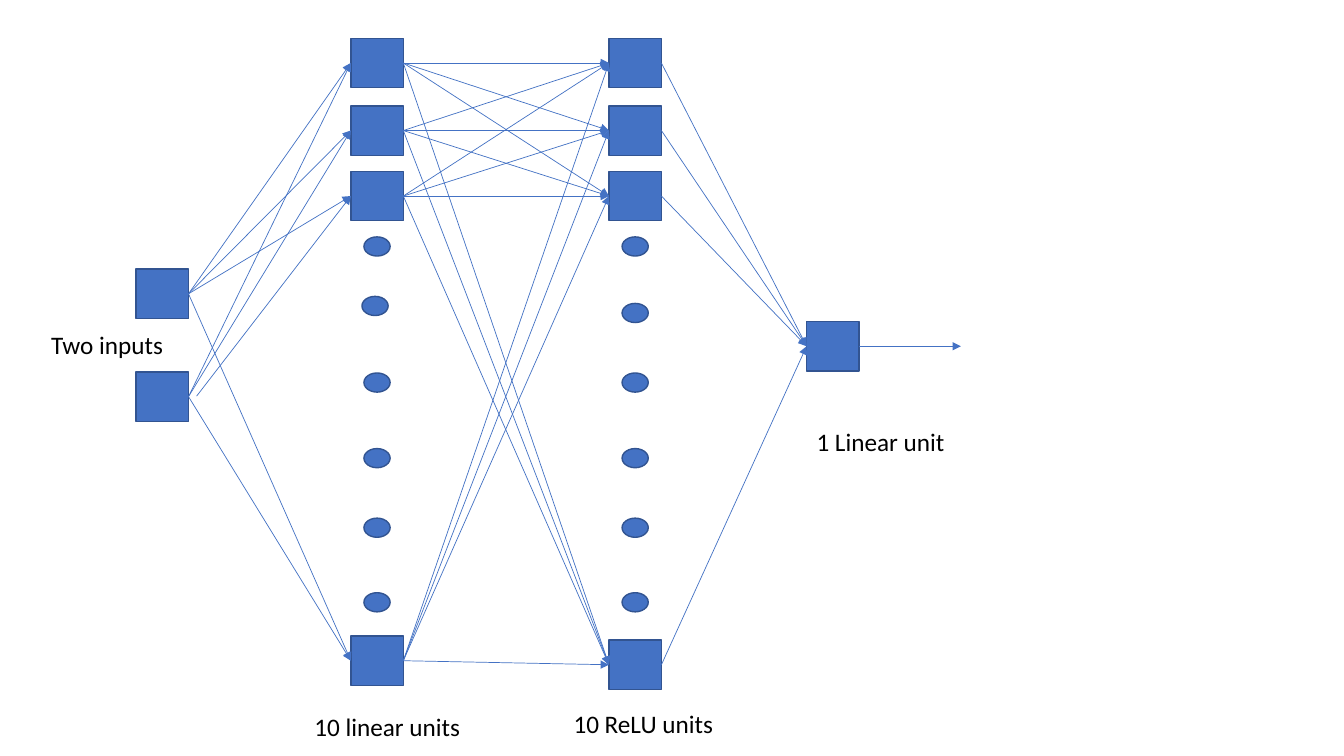
from itertools import product
from lxml import etree
from pptx import Presentation
from pptx.dml.color import RGBColor
from pptx.enum.shapes import MSO_CONNECTOR as Line, MSO_SHAPE as Kind
from pptx.enum.text import MSO_AUTO_SIZE as Fit
from pptx.oxml.ns import qn
from pptx.util import Inches, Pt

BLUE, EDGE, BLACK = "4472C4", "325491", "000000"
WIDE, HIGH = 0.52, 0.49
LEFT, RIGHT = 1, 3


def paint(color, tone):
    color.rgb = RGBColor.from_string(tone)


def arrow(x1, y1, x2, y2):
    line = shapes.add_connector(Line.STRAIGHT, x1, y1, x2, y2)
    paint(line.line.color, BLUE)
    line.line.width = Pt(0.5)
    etree.SubElement(line.line._get_or_add_ln(), qn("a:tailEnd"), type="triangle")
    etree.SubElement(line._element.spPr, qn("a:effectLst"))
    return line


deck = Presentation()
deck.slide_width, deck.slide_height = Inches(13.33), Inches(7.5)
slide = deck.slides.add_slide(deck.slide_layouts[6])
shapes = slide.shapes

tops = [0.38, 1.05, 1.7]
layers = [
    (1.35, [2.67, 3.69], []),
    (3.48, tops + [6.31], [2.35, 2.94, 3.7, 4.45, 5.14, 5.88]),
    (6.04, tops + [6.35], [2.35, 3.01, 3.7, 4.45, 5.14, 5.88]),
    (8, [3.19], []),
]
units = []
for x, rows, dots in layers:
    parts = [(Kind.RECTANGLE, x, y, WIDE, HIGH) for y in rows]
    parts += [(Kind.OVAL, x + (0.11 if y == 2.94 else 0.13), y, 0.26, 0.19) for y in dots]
    drawn = []
    for kind, *place in parts:
        node = shapes.add_shape(kind, *map(Inches, place))
        node.shadow.inherit = False
        node.fill.solid()
        paint(node.fill.fore_color, BLUE)
        paint(node.line.color, EDGE)
        node.line.width = Pt(1)
        drawn.append(node)
    units.append(drawn[:len(rows)])

inputs, linear, relu, output = units
for start, end in zip(units, units[1:]):
    for a, b in product(start, end):
        if a is inputs[1] and b is linear[2]:
            line = arrow(Inches(1.95), Inches(3.93), b.left, b.top)
        else:
            line = arrow(a.left, a.top, b.left, b.top)
            line.begin_connect(a, RIGHT)
        line.end_connect(b, LEFT)

final = output[0]
mid = final.top + final.height // 2
arrow(final.left + final.width, mid, Inches(9.53), mid).begin_connect(final, RIGHT)

labels = [
    ("Two inputs", 0.41, 3.22, 1.32),
    ("10 linear units", 3.02, 7.01, 1.66),
    ("10 ReLU units", 5.59, 6.98, 1.6),
    ("1 Linear unit", 8, 4.18, 1.49),
]
for words, x, y, width in labels:
    label = shapes.add_textbox(*map(Inches, (x, y, width, 0.4)))
    frame = label.text_frame
    frame.text = words
    frame.word_wrap = False
    frame.auto_size = Fit.SHAPE_TO_FIT_TEXT
    font = frame.paragraphs[0].runs[0].font
    font.name, font.size = "Calibri", Pt(18)
    paint(font.color, BLACK)

deck.save("out.pptx")
